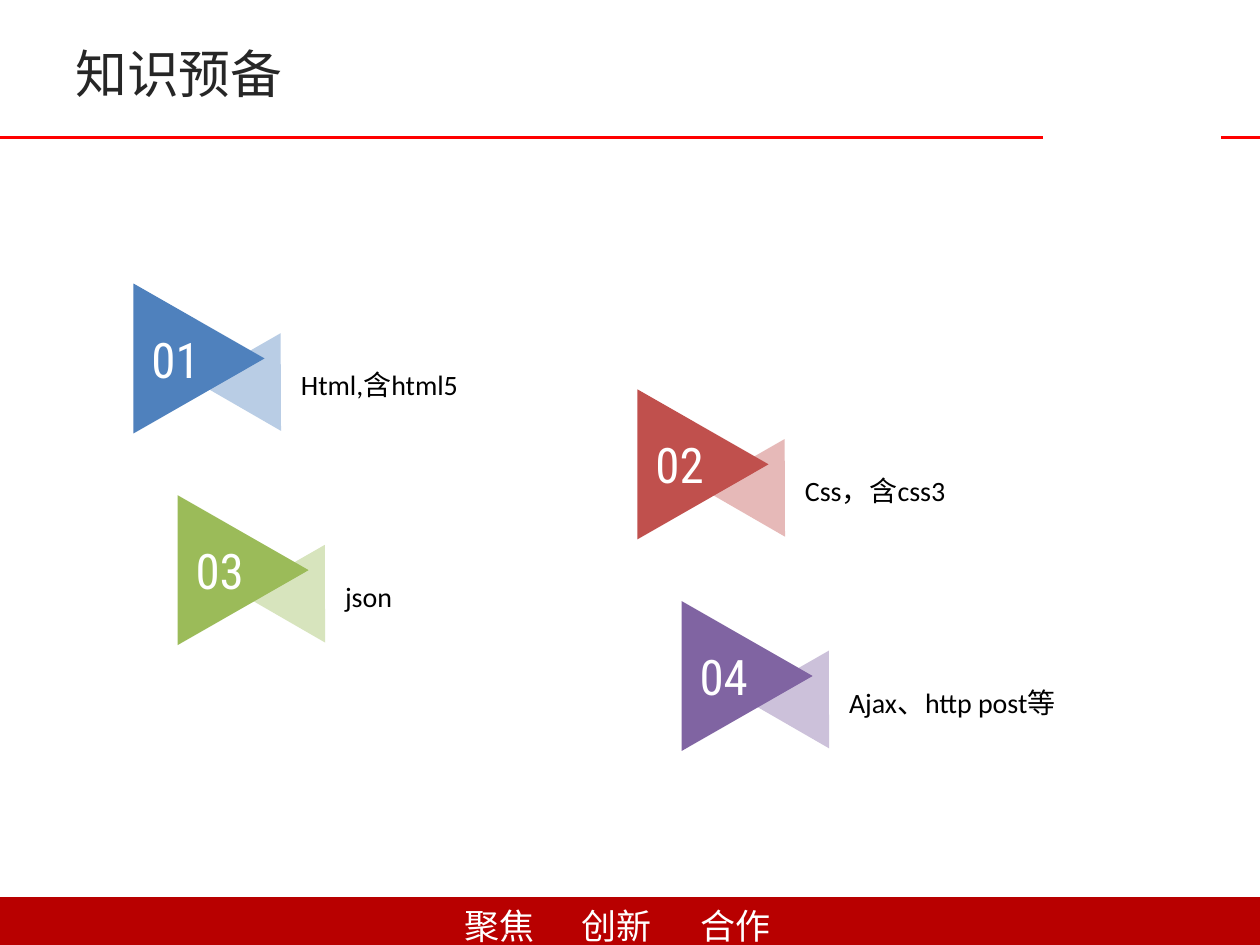
from dataclasses import dataclass

from lxml.etree import SubElement
from pptx import Presentation
from pptx.dml.color import RGBColor
from pptx.enum.shapes import MSO_CONNECTOR as Connector, MSO_SHAPE as Shape
from pptx.enum.text import MSO_ANCHOR as Anchor, PP_ALIGN as Align
from pptx.oxml.ns import qn
from pptx.util import Inches, Pt


@dataclass(frozen=True)
class Theme:
    rule: str = "FF0000"
    footer: str = "B80000"
    title: str = "262626"
    text: str = "000000"
    light: str = "FFFFFF"
    cjk_font: str = "Noto Sans CJK SC"
    body_font: str = "Calibri"
    number_font: str = "Roboto Condensed"
    title_size: float = 29.6
    number_size: float = 28
    footer_size: float = 20
    body_size: float = 16
    rule_width: float = 1.5


THEME = Theme()
TOPICS = [
    ("01", "Html,含html5", "4F81BD", "B9CDE5"),
    ("02", "Css，含css3", "C0504D", "E6B9B8"),
    ("03", "json", "9BBB59", "D7E4BD"),
    ("04", "Ajax、http post等", "8064A2", "CCC1DA"),
]


def paint(shape, color):
    shape.shadow.inherit = False
    shape.fill.solid()
    shape.fill.fore_color.rgb = RGBColor.from_string(color)
    shape.line.fill.background()


def write(shape, text, font, size, color, anchor=Anchor.MIDDLE, align=Align.LEFT,
          spacing=1.0, tabs=()):
    frame = shape.text_frame
    frame.word_wrap = True
    frame.vertical_anchor = anchor
    paragraph = frame.paragraphs[0]
    paragraph.text = text
    paragraph.alignment = align
    paragraph.line_spacing = spacing
    properties = paragraph._p.get_or_add_pPr()
    if tabs:
        tab_list = SubElement(properties, qn("a:tabLst"))
        for position in tabs:
            SubElement(tab_list, qn("a:tab"), pos=str(Inches(position)), algn="l")
    paragraph.font.size = Pt(size)
    paragraph.font.color.rgb = RGBColor.from_string(color)
    paragraph.font.name = font
    defaults = properties.find(qn("a:defRPr"))
    SubElement(defaults, qn("a:ea"), typeface=THEME.cjk_font)


def add_textbox(slide, left, top, width, height):
    return slide.shapes.add_textbox(Inches(left), Inches(top), Inches(width), Inches(height))


def add_rule(slide, start, end, top):
    rule = slide.shapes.add_connector(
        Connector.STRAIGHT, Inches(start), Inches(top), Inches(end), Inches(top))
    rule.line.color.rgb = RGBColor.from_string(THEME.rule)
    rule.line.width = Pt(THEME.rule_width)
    SubElement(rule._element.spPr, qn("a:effectLst"))


def add_header(slide, left, top, width, height):
    for start, end in ((0, 8.28), (9.69, 10)):
        add_rule(slide, left + start, left + end, top + height)
    title = add_textbox(slide, left + 0.5, top + 0.3, width - 2.74, 0.61)
    write(title, "知识预备", THEME.cjk_font, THEME.title_size, THEME.title, spacing=0.9)


def add_footer(slide, left, top, width, height):
    band = slide.shapes.add_shape(
        Shape.RECTANGLE, Inches(left), Inches(top), Inches(width), Inches(height))
    paint(band, THEME.footer)
    motto = add_textbox(slide, left + 3.59, top + 0.01, 3.05, 0.44)
    write(motto, "聚焦\t创新\t合作", THEME.cjk_font, THEME.footer_size, THEME.light,
          anchor=Anchor.TOP, tabs=(0.93, 1.87))


def add_topic(slide, left, top, number, label, color, tint):
    tail = slide.shapes.add_shape(
        Shape.ISOSCELES_TRIANGLE, Inches(left + 0.61), Inches(top + 0.35),
        Inches(0.78), Inches(0.67))
    tail.rotation = 30
    paint(tail, tint)

    width, height = 1.04, 1.19
    builder = slide.shapes.build_freeform(Inches(left), Inches(top))
    builder.add_line_segments([
        (Inches(left + width), Inches(top + height / 2)),
        (Inches(left), Inches(top + height)),
    ], close=True)
    pointer = builder.convert_to_shape()
    paint(pointer, color)
    pointer.text_frame.margin_right = Inches(0.47)
    write(pointer, number, THEME.number_font, THEME.number_size, THEME.light,
          align=Align.CENTER)

    caption = add_textbox(slide, left + 1.23, top + 0.36, 2.47, 0.86)
    write(caption, label, THEME.body_font, THEME.body_size, THEME.text, spacing=1.1)


def add_topics(slide, left, top, column_step, row_shift, topic_step):
    for index, topic in enumerate(TOPICS):
        row, column = divmod(index, 2)
        add_topic(slide, left + column * column_step + row * row_shift,
                  top + index * topic_step, *topic)


def main():
    presentation = Presentation()
    presentation.slide_width = Inches(10)
    presentation.slide_height = Inches(7.5)
    slide = presentation.slides.add_slide(presentation.slide_layouts[6])
    add_header(slide, 0, 0, 10, 1.09)
    add_footer(slide, 0, 7.12, 10, 0.38)
    add_topics(slide, 1.06, 2.25, column_step=4, row_shift=0.35, topic_step=0.84)
    presentation.save("out.pptx")


if __name__ == "__main__":
    main()
